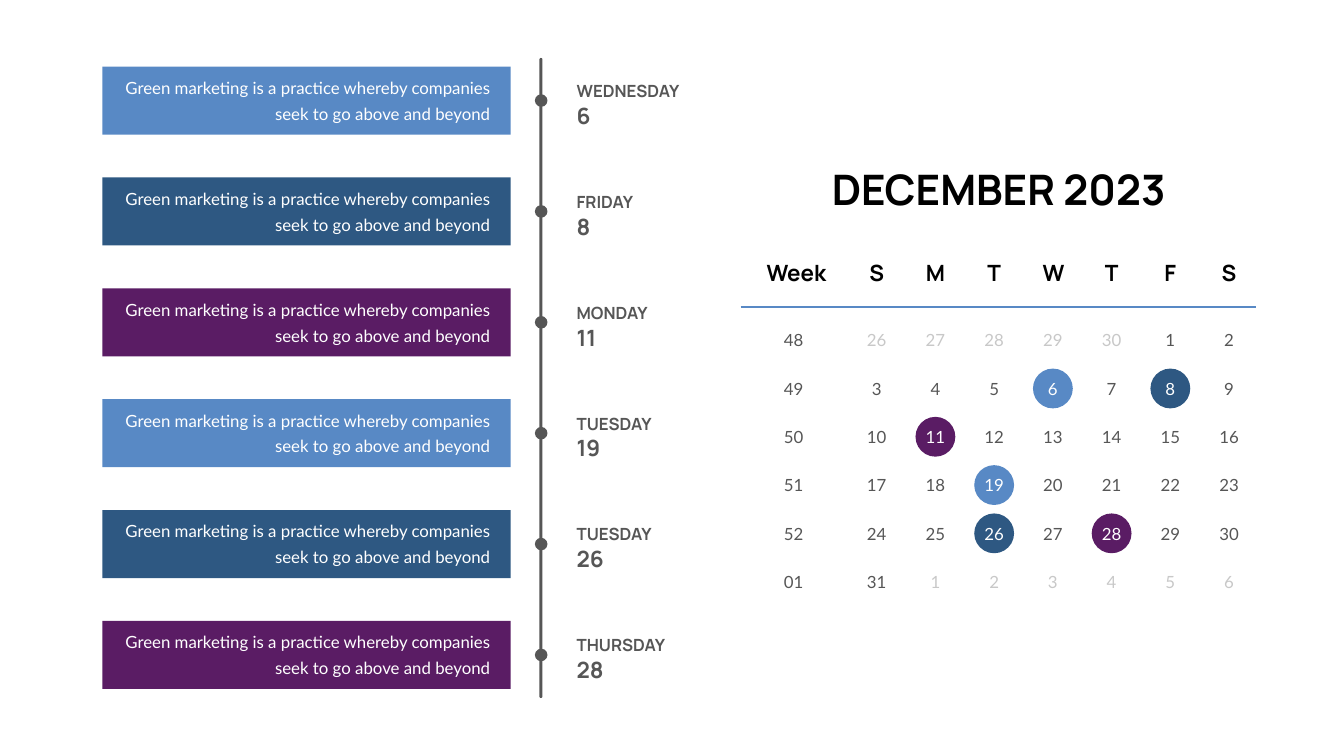
from pptx import Presentation
from pptx.dml.color import RGBColor
from pptx.enum.shapes import MSO_CONNECTOR, MSO_SHAPE
from pptx.enum.text import MSO_ANCHOR, MSO_AUTO_SIZE, PP_ALIGN
from pptx.oxml.ns import qn
from pptx.util import Inches, Pt
from lxml.etree import SubElement

BLUE, NAVY, PURPLE = "5889C5", "2E5882", "5A1C64"
GREY, PALE, BLACK, WHITE = "565656", "C8C8C8", "000000", "FFFFFF"
HEADING, BODY = "Manrope", "Lato"

EVENTS = [
    ("WEDNESDAY", 6, BLUE), ("FRIDAY", 8, NAVY), ("MONDAY", 11, PURPLE),
    ("TUESDAY", 19, BLUE), ("TUESDAY", 26, NAVY), ("THURSDAY", 28, PURPLE),
]
EVENT_TEXT = "Green marketing is a practice whereby companies seek to go above and beyond"
WEEKS = ["48", "49", "50", "51", "52", "01"]
LEADING_DAYS, MONTH_DAYS, TRAILING_DAYS = range(26, 31), range(1, 32), range(1, 7)


def colour(value):
    return RGBColor.from_string(value)


def place(shape, left, top, width, height):
    shape.left, shape.top = Inches(left), Inches(top)
    shape.width, shape.height = Inches(width), Inches(height)


def write_text(shape, text, *, size, font=BODY, hue=GREY, bold=False,
               align=PP_ALIGN.LEFT, anchor=MSO_ANCHOR.MIDDLE, wrap=False, spacing=None):
    """Write one paragraph per line of text; size holds one value per line."""
    frame = shape.text_frame
    frame.word_wrap = wrap
    frame.auto_size = MSO_AUTO_SIZE.SHAPE_TO_FIT_TEXT
    frame.vertical_anchor = anchor
    frame.text = text
    for para, points in zip(frame.paragraphs, size):
        para.alignment = align
        if spacing:
            para.line_spacing = Pt(spacing)
        span = para.runs[0].font
        span.name, span.size, span.bold = font, Pt(points), bold
        span.color.rgb = colour(hue)


def add_text(shapes, box, text, **style):
    text_box = shapes.add_textbox(*map(Inches, box))
    write_text(text_box, text, **style)


def add_block(shapes, preset, box, fill):
    block = shapes.add_shape(preset, *map(Inches, box))
    block.shadow.inherit = False
    block.fill.solid()
    block.fill.fore_color.rgb = colour(fill)
    block.line.fill.background()
    return block


def add_rule(shapes, left, right, y):
    rule = shapes.add_connector(MSO_CONNECTOR.STRAIGHT, Inches(left), Inches(y),
                                Inches(right), Inches(y))
    rule.line.color.rgb = colour(BLUE)
    rule.line.width = Pt(3)
    SubElement(rule._element.spPr, qn("a:effectLst"))


def add_title(page, box):
    title = page.shapes.title
    place(title, *box)
    write_text(title, "DECEMBER 2023", size=[60], font=HEADING, hue=BLACK, bold=True,
               align=PP_ALIGN.CENTER, anchor=MSO_ANCHOR.TOP)


def add_calendar(page, left, top, width):
    shapes = page.shapes.add_group_shape().shapes
    week_x, first_x, column_step = left + 1.05, left + 2.7, 1.165
    first_y, row_step, circle = top + 1.66, 0.958, 0.79
    column_x = [week_x] + [first_x + column_step * index for index in range(7)]
    marked = {day: hue for _, day, hue in EVENTS}

    # Column headings and rule
    for name, x in zip(["Week", *"SMTWTFS"], column_x):
        is_week = name == "Week"
        box_width = 1.5 if is_week else 0.6
        add_text(shapes, (x - box_width / 2, top, box_width, 0.64), name, size=[32],
                 font=HEADING, hue=BLACK, bold=True, anchor=MSO_ANCHOR.TOP,
                 align=PP_ALIGN.RIGHT if is_week else PP_ALIGN.CENTER)
    add_rule(shapes, left, left + width, top + 1)

    def add_number(text, x, y, hue=GREY):
        box_width = 0.4 if len(text) == 1 else 0.59
        add_text(shapes, (x - box_width / 2, y - 0.25, box_width, 0.5), text,
                 size=[24], hue=hue, align=PP_ALIGN.CENTER)

    # Week numbers
    for row, week in enumerate(WEEKS):
        add_number(week, week_x, first_y + row * row_step)

    # Days, with a circle behind each event and neighbouring months in pale grey
    days = [*LEADING_DAYS, *MONTH_DAYS, *TRAILING_DAYS]
    for index, day in enumerate(days):
        row, column = divmod(index, 7)
        x, y = column_x[column + 1], first_y + row * row_step
        in_month = 0 <= index - len(LEADING_DAYS) < len(MONTH_DAYS)
        hue = GREY if in_month else PALE
        if in_month and day in marked:
            add_block(shapes, MSO_SHAPE.OVAL,
                      (x - circle / 2, y - circle / 2, circle, circle), marked[day])
            hue = WHITE
        add_number(str(day), x, y, hue)


def add_event(page, left, top, weekday, day, hue):
    shapes = page.shapes.add_group_shape().shapes
    add_block(shapes, MSO_SHAPE.OVAL, (left + 8.58, top + 0.55, 0.25, 0.25), GREY)
    add_block(shapes, MSO_SHAPE.RECTANGLE, (left, top, 8.1, 1.35), hue)
    add_text(shapes, (left + 0.31, top + 0.08, 7.48, 1.08), EVENT_TEXT, size=[24],
             hue=WHITE, align=PP_ALIGN.RIGHT, wrap=True, spacing=37)
    add_text(shapes, (left + 9.31, top + 0.07, 2.36, 1.22), f"{weekday}\n{day}",
             size=[24, 32], font=HEADING, bold=True, wrap=True, spacing=40)


def add_timeline(page, left, top, height):
    # Vertical bar
    bar = add_block(page.shapes, MSO_SHAPE.ROUNDED_RECTANGLE,
                    (left + 8.67, top, 0.06, height), GREY)
    bar.adjustments[0] = 0.5
    # Events at equal steps
    for index, event in enumerate(EVENTS):
        add_event(page, left, top + 0.17 + index * 2.2, *event)


def main():
    deck = Presentation()
    deck.slide_width, deck.slide_height = Inches(26.66), Inches(15)
    page = deck.slides.add_slide(deck.slide_layouts[5])
    add_title(page, (16.36, 3.2, 6.9, 1.11))
    add_calendar(page, 14.69, 5.09, 10.22)
    add_timeline(page, 2.03, 1.15, 12.7)
    deck.save("out.pptx")


if __name__ == "__main__":
    main()
